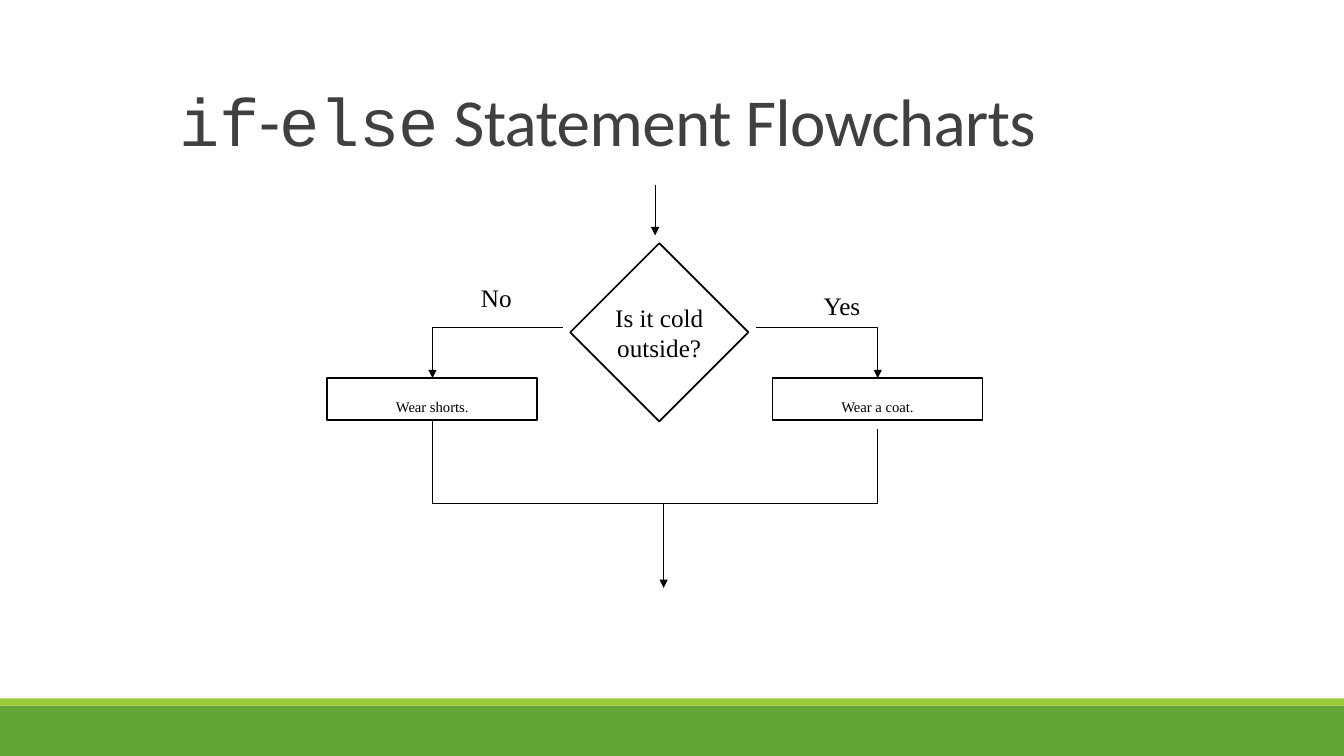
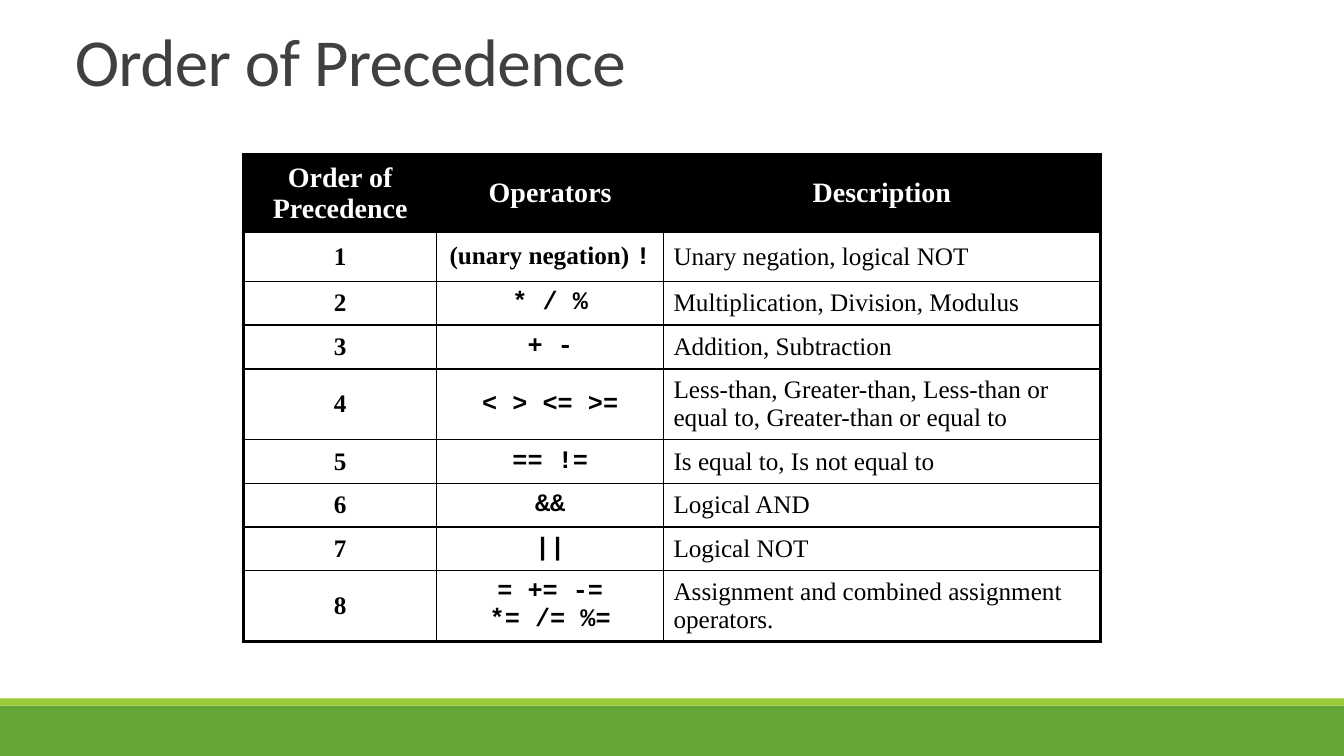
from lxml.etree import SubElement
from pptx import Presentation
from pptx.dml.color import RGBColor
from pptx.enum.shapes import MSO_CONNECTOR, MSO_SHAPE
from pptx.enum.text import MSO_ANCHOR, MSO_AUTO_SIZE, PP_ALIGN
from pptx.oxml.ns import qn
from pptx.util import Cm, Pt

BLACK = RGBColor(0x00, 0x00, 0x00)
WHITE = RGBColor(0xFF, 0xFF, 0xFF)
GREY = RGBColor(0x40, 0x40, 0x40)
GREEN = RGBColor(0x63, 0xA5, 0x37)
LIME = RGBColor(0x99, 0xCB, 0x38)
SANS, MONO, SERIF = "Calibri", "Courier New", "Times New Roman"
WIDE, HIGH = 33.87, 19.05


def put(frame, *lines, size=18, font=SERIF, color=BLACK, bold=False,
        align=PP_ALIGN.CENTER, space=None, track=None):
    """Fill a frame; a line is a string or a list of (text, font) pairs."""
    for i, line in enumerate(lines):
        para = frame.add_paragraph() if i else frame.paragraphs[0]
        para.alignment = align
        if space:
            para.line_spacing = space
        for text, face in [(line, font)] if isinstance(line, str) else line:
            run = para.add_run()
            run.text = text
            run.font.name = face
            run.font.size = Pt(size)
            run.font.bold = bold
            run.font.color.rgb = color
            if track:
                run._r.get_or_add_rPr().set("spc", str(track))


def link(slide, kind, ends, preset=None, turn=0, arrow=True):
    """Draw a connector; ends are those of its frame before the turn."""
    line = slide.shapes.add_connector(kind, *[Cm(n) for n in ends])
    line.line.color.rgb = BLACK
    line.line.width = Pt(0.75)
    props = line._element.spPr
    if preset:
        props.find(qn("a:prstGeom")).set("prst", preset)
    if turn:
        props.find(qn("a:xfrm")).set("rot", str(turn * 60000))
    if arrow:
        SubElement(props.find(qn("a:ln")), qn("a:tailEnd"), type="triangle")
    SubElement(props, qn("a:effectLst"))


deck = Presentation()
deck.slide_width, deck.slide_height = Cm(WIDE), Cm(HIGH)

# Titles and bands
heads = [
    (4.27, 0.48, [("if", MONO), ("-", SANS), ("else", MONO),
                  (" Statement Flowcharts", SANS)]),
    (1.63, -1.02, "Order of Precedence"),
]
slides = []
for left, top, words in heads:
    slide = deck.slides.add_slide(deck.slide_layouts[5])
    slides.append(slide)
    for y, tall, color in [(17.78, 1.27, GREEN), (17.6, 0.18, LIME)]:
        band = slide.shapes.add_shape(
            MSO_SHAPE.RECTANGLE, 0, Cm(y), Cm(WIDE), Cm(tall))
        band.shadow.inherit = False
        band.fill.solid()
        band.fill.fore_color.rgb = color
        band.line.fill.background()
    title = slide.shapes.title
    title.left, title.top = Cm(left), Cm(top)
    title.width, title.height = Cm(29.21), Cm(3.68)
    frame = title.text_frame
    frame.word_wrap = True
    frame.auto_size = MSO_AUTO_SIZE.NONE
    frame.vertical_anchor = MSO_ANCHOR.BOTTOM
    put(frame, words, size=48, font=SANS, color=GREY,
        align=PP_ALIGN.LEFT, space=0.85, track=-50)
chart, order = slides

# Flowchart
boxes = [
    (MSO_SHAPE.DIAMOND, 14.37, 6.13, 4.49, 4.49,
     ["Is it cold", "outside?"], 18, MSO_ANCHOR.MIDDLE),
    (MSO_SHAPE.RECTANGLE, 8.25, 9.53, 5.29, 1.06,
     ["Wear shorts."], 10.5, MSO_ANCHOR.BOTTOM),
    (MSO_SHAPE.RECTANGLE, 19.47, 9.53, 5.29, 1.06,
     ["Wear a coat."], 10.5, MSO_ANCHOR.BOTTOM),
]
for kind, x, y, w, h, lines, size, anchor in boxes:
    box = chart.shapes.add_shape(kind, Cm(x), Cm(y), Cm(w), Cm(h))
    box.shadow.inherit = False
    box.fill.solid()
    box.fill.fore_color.rgb = WHITE
    box.line.color.rgb = BLACK
    box.line.width = Pt(1.25)
    box.text_frame.word_wrap = False
    box.text_frame.vertical_anchor = anchor
    put(box.text_frame, *lines, size=size)

for word, x, y, w in [("No", 11.86, 6.99, 1.3), ("Yes", 20.47, 7.19, 1.5)]:
    label = chart.shapes.add_textbox(Cm(x), Cm(y), Cm(w), Cm(1.02))
    label.text_frame.word_wrap = False
    put(label.text_frame, word)

ELBOW = MSO_CONNECTOR.ELBOW
link(chart, MSO_CONNECTOR.STRAIGHT, (16.51, 4.65, 16.51, 5.93))
link(chart, ELBOW, (19.05, 8.26, 22.12, 9.53), "bentConnector2")
link(chart, ELBOW, (10.9, 9.53, 14.18, 8.26), "bentConnector2", turn=180)
link(chart, ELBOW, (15.93, 9.79, 11.7, 15.61), "bentConnector3", turn=270)
link(chart, ELBOW, (18.47, 9.05, 20.37, 14.45), "bentConnector2",
     turn=90, arrow=False)

# Table of operators
rows = [
    (1.96, ["Operators"], "Description"),
    (1.24, [[("(unary negation) ", SERIF), ("!", MONO)]],
     "Unary negation, logical NOT"),
    (1.1, ["* / %"], "Multiplication, Division, Modulus"),
    (1.11, ["+ -"], "Addition, Subtraction"),
    (1.78, ["< > <= >="],
     "Less-than, Greater-than, Less-than or equal to, "
     "Greater-than or equal to"),
    (1.1, ["== !="], "Is equal to, Is not equal to"),
    (1.1, ["&&"], "Logical AND"),
    (1.1, ["||"], "Logical NOT"),
    (1.78, ["= += -=", "*= /= %="],
     "Assignment and combined assignment operators."),
]
cols = [4.87, 5.71, 11.01]
grid = order.shapes.add_table(
    len(rows), len(cols), Cm(6.14), Cm(3.89), Cm(sum(cols)),
    Cm(sum(row[0] for row in rows))).table
grid.first_row = grid.horz_banding = False
for col, width in zip(grid.columns, cols):
    col.width = Cm(width)

for r, (tall, signs, about) in enumerate(rows):
    grid.rows[r].height = Cm(tall)
    first = str(r) if r else "Order of Precedence"
    for c, lines in enumerate([[first], signs, [about]]):
        cell = grid.cell(r, c)
        cell.vertical_anchor = MSO_ANCHOR.MIDDLE
        outer = {"L": c == 0, "R": c == len(cols) - 1,
                 "T": r == 0, "B": r == len(rows) - 1}
        for side, thick in outer.items():
            edge = SubElement(cell._tc.get_or_add_tcPr(), qn("a:ln" + side),
                              w=str(Pt(2.25 if thick else 1)))
            SubElement(SubElement(edge, qn("a:solidFill")),
                       qn("a:srgbClr"), val=str(BLACK))
        cell.fill.solid()
        cell.fill.fore_color.rgb = WHITE if r else BLACK
        if r == 0:
            put(cell.text_frame, *lines, size=20, color=WHITE, bold=True)
        elif c == 2:
            put(cell.text_frame, *lines, align=PP_ALIGN.LEFT)
        else:
            put(cell.text_frame, *lines, font=MONO if c else SERIF, bold=True)

deck.save("out.pptx")
